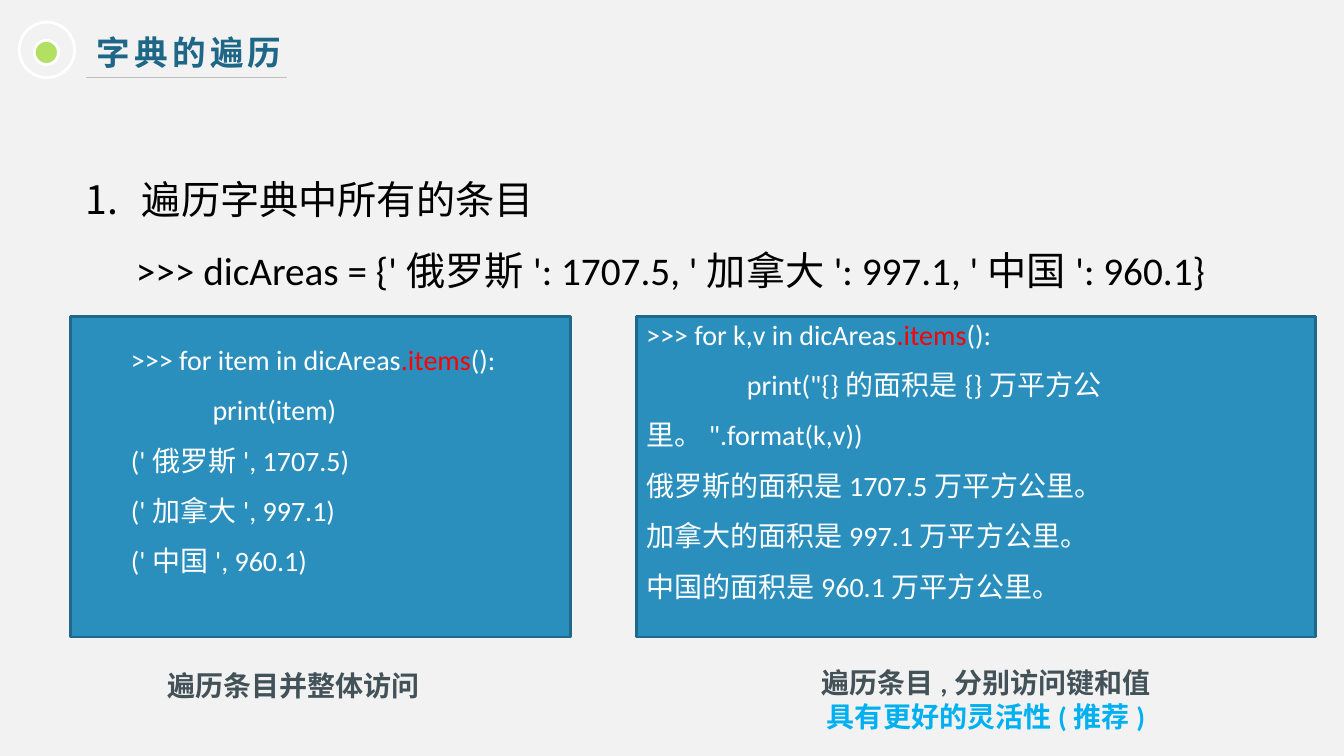
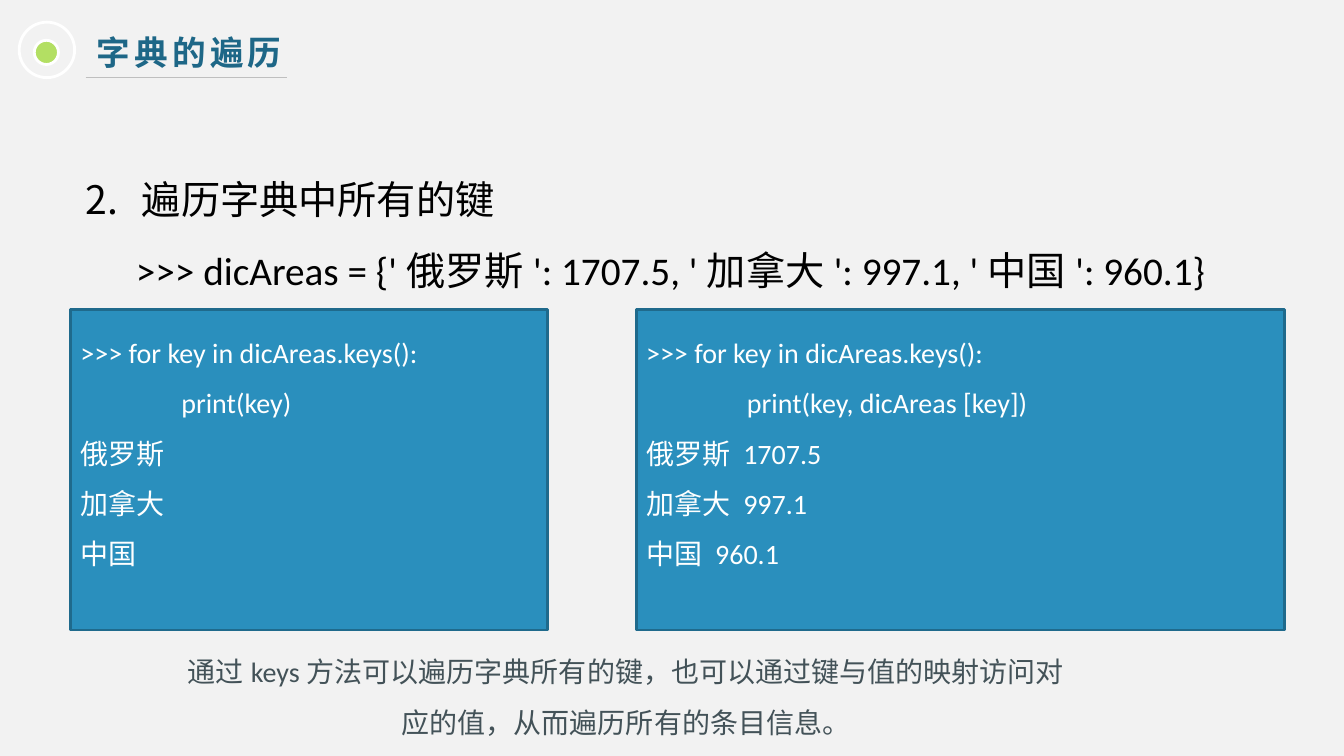
"""Build two slides on walking through a Python dictionary."""
import pptx
import pptx.util
import pptx.dml.color
import pptx.enum.shapes
import pptx.enum.text
import pptx.oxml.ns
import lxml.etree
from dataclasses import dataclass

Inches = pptx.util.Inches
Pt = pptx.util.Pt
Kind = pptx.enum.shapes.MSO_SHAPE
Align = pptx.enum.text.PP_ALIGN
Anchor = pptx.enum.text.MSO_ANCHOR


@dataclass(frozen=True)
class Theme:
    back: str = "F2F2F2"
    title: str = "1E6787"
    dot: str = "B3DF63"
    rule: str = "BFBFBF"
    panel: str = "2A8FBD"
    edge: str = "1F6A8C"
    white: str = "FFFFFF"
    black: str = "000000"
    red: str = "FF0000"
    note: str = "435258"
    tip: str = "00B0F0"
    latin: str = "Calibri"
    asian: str = "Noto Sans CJK SC"
    head: int = 24
    body: int = 28
    code: int = 20
    space: float = 1.5


T = Theme()
TITLE = "字典的遍历"
AREAS = ">>> dicAreas = {'俄罗斯': 1707.5, '加拿大': 997.1, '中国': 960.1}"
LEFT, RIGHT, TALL = 0.7, 6.31, 3.18
ITEMS = (".items", T.red)

SLIDES = [
    {
        "topic": "遍历字典中所有的条目",
        "top": 3.14,
        "panels": [
            {"left": LEFT, "width": 4.96, "margin": 0.5, "step": 0.81, "lines": [
                [">>> for item in dicAreas", ITEMS, "():"],
                ["print(item)"],
                ["('俄罗斯', 1707.5)"],
                ["('加拿大', 997.1)"],
                ["('中国', 960.1)"]]},
            {"left": RIGHT, "width": 6.74, "margin": 0, "step": 1, "lines": [
                [">>> for k,v in dicAreas", ITEMS, "():"],
                ['print("{}的面积是{}万平方公里。".format(k,v))'],
                ["俄罗斯的面积是1707.5万平方公里。"],
                ["加拿大的面积是997.1万平方公里。"],
                ["中国的面积是960.1万平方公里。"]]},
        ],
        "notes": [
            {"at": (0.93, 6.52, 3.96, 0.56), "bold": True, "space": 1,
             "lines": [["遍历条目并整体访问"]]},
            {"at": (7.8, 6.51, 3.96, 0.86), "bold": True, "space": 1,
             "lines": [["遍历条目,分别访问键和值"],
                       [("具有更好的灵活性(推荐)", T.tip)]]},
        ],
    },
    {
        "topic": "遍历字典中所有的键",
        "top": 3.07,
        "panels": [
            {"left": LEFT, "width": 4.73, "margin": 0, "step": 1, "lines": [
                [">>> for key in dicAreas.keys():"],
                ["print(key)"],
                ["俄罗斯"], ["加拿大"], ["中国"]]},
            {"left": RIGHT, "width": 6.43, "margin": 0, "step": 1, "lines": [
                [">>> for key in dicAreas.keys():"],
                ["print(key, dicAreas [key])"],
                ["俄罗斯 1707.5"], ["加拿大 997.1"], ["中国 960.1"]]},
        ],
        "notes": [
            {"at": (1.68, 6.55, 9.06, 0.56), "bold": False, "space": T.space,
             "lines": [["通过keys方法可以遍历字典所有的键，也可以通过键与值的映射"
                        "访问对应的值，从而遍历所有的条目信息。"]]},
        ],
    },
]


def put(obj, **vals):
    for key, val in vals.items():
        setattr(obj, key, val)


def rgb(code):
    return pptx.dml.color.RGBColor.from_string(code)


def node(home, tag, **vals):
    return lxml.etree.SubElement(home, pptx.oxml.ns.qn(tag), vals)


def indent(para, margin, first):
    props = para._p.get_or_add_pPr()
    props.set("marL", str(Inches(margin)))
    props.set("indent", str(Inches(first)))
    return props


def write(frame, lines, color, size, space=1, align=Align.LEFT, bold=False, face=T.latin):
    """Fill a frame with lines of runs and return its paragraphs."""
    frame.word_wrap = True
    for num, line in enumerate(lines):
        para = frame.add_paragraph() if num else frame.paragraphs[0]
        put(para, alignment=align, line_spacing=space)
        for part in line:
            text, tint = (part, color) if isinstance(part, str) else part
            run = para.add_run()
            run.text = text
            put(run.font, name=face, size=Pt(size), bold=bold)
            run.font.color.rgb = rgb(tint)
            node(run._r.get_or_add_rPr(), "a:ea", typeface=T.asian)
    return frame.paragraphs


def area(slide, *at):
    return slide.shapes.add_textbox(*map(Inches, at)).text_frame


def shape(slide, kind, at, fill, line):
    item = slide.shapes.add_shape(kind, *map(Inches, at))
    item.shadow.inherit = False
    if fill:
        item.fill.solid()
        item.fill.fore_color.rgb = rgb(fill)
    else:
        item.fill.background()
    item.line.color.rgb = rgb(line)
    item.line.width = Pt(2)
    return item


def header(slide):
    frame = area(slide, 0.86, 0.27, 6.45, 0.5)
    para = write(frame, [[TITLE]], T.title, T.head, bold=True, face=T.asian)[0]
    para.runs[0]._r.get_or_add_rPr().set("spc", "300")
    for left, top, size, fill in ((0.34, 0.4, 0.24, T.dot), (0.19, 0.22, 0.55, None)):
        shape(slide, Kind.OVAL, (left, top, size, size), fill, T.white)
    ends = map(Inches, (0.85, 0.77, 2.85, 0.77))
    rule = slide.shapes.add_connector(pptx.enum.shapes.MSO_CONNECTOR.STRAIGHT, *ends)
    rule.line.color.rgb = rgb(T.rule)
    rule.line.width = Pt(0.75)
    node(rule._element.spPr, "a:effectLst")


def topic(slide, num, text):
    frame = area(slide, 0.75, 1.46, 11.45, 1.44)
    first, second = write(frame, [[text], [AREAS]], T.black, T.body, T.space)
    props = indent(first, 0.56, -0.56)
    node(props, "a:buFont", typeface="+mj-lt")
    node(props, "a:buAutoNum", type="arabicPeriod", startAt=str(num))
    indent(second, 0.5, 0)


def panel(slide, top, data):
    at = (data["left"], top, data["width"], TALL)
    frame = shape(slide, Kind.RECTANGLE, at, T.panel, T.edge).text_frame
    put(frame, vertical_anchor=Anchor.MIDDLE, margin_bottom=Inches(0.55))
    paras = write(frame, data["lines"], T.white, T.code, T.space)
    for num, para in enumerate(paras):
        indent(para, data["margin"], data["step"] if num == 1 else 0)


def note(slide, data):
    frame = area(slide, *data["at"])
    frame.vertical_anchor = Anchor.MIDDLE
    write(frame, data["lines"], T.note, T.code, data["space"], Align.CENTER, data["bold"])


def main():
    deck = pptx.Presentation()
    put(deck, slide_width=Inches(13.33), slide_height=Inches(7.5))
    back = deck.slide_master.background.fill
    back.solid()
    back.fore_color.rgb = rgb(T.back)
    for num, data in enumerate(SLIDES, 1):
        slide = deck.slides.add_slide(deck.slide_layouts[6])
        header(slide)
        topic(slide, num, data["topic"])
        for item in data["panels"]:
            panel(slide, data["top"], item)
        for item in data["notes"]:
            note(slide, item)
    deck.save("out.pptx")


if __name__ == "__main__":
    main()
